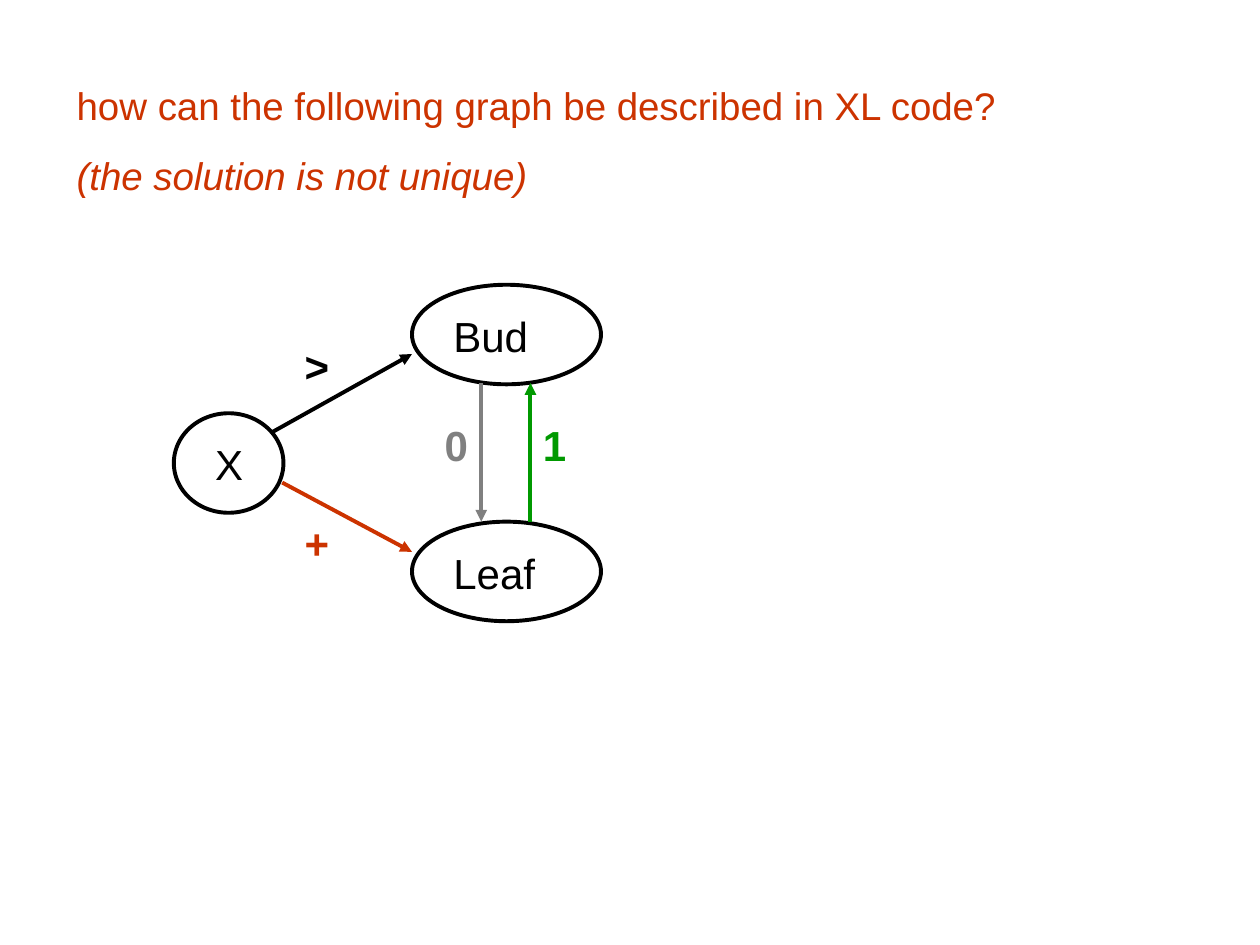
import pptx
import pptx.util
import pptx.dml.color
import pptx.enum.shapes
import pptx.enum.text
import pptx.oxml.ns
import lxml.etree

COLORS = {"black": "000000", "red": "CC3300", "gray": "808080", "green": "009900"}


class GraphSlide:
    font = "Arial"
    line_width = pptx.util.Pt(2.25)
    columns, rows = 100, 75
    node_height = 7.9
    label_height = 5

    def __init__(self, deck):
        self.column = deck.slide_width / self.columns
        self.row = deck.slide_height / self.rows
        self.page = deck.slides.add_slide(deck.slide_layouts[6])

    def place(self, left, top, width, height):
        return (round(left * self.column), round(top * self.row),
                round(width * self.column), round(height * self.row))

    def color(self, name):
        return pptx.dml.color.RGBColor.from_string(COLORS[name])

    def text(self, wording, area, color="black", size=24, before=15, bold=False):
        box = self.page.shapes.add_textbox(*self.place(*area))
        frame = box.text_frame
        frame.word_wrap = True
        frame.auto_size = pptx.enum.text.MSO_AUTO_SIZE.SHAPE_TO_FIT_TEXT
        frame.text = wording
        for para in frame.paragraphs:
            para.space_before = pptx.util.Pt(before)
            for span in para.runs:
                span.font.name = self.font
                span.font.size = pptx.util.Pt(size)
                span.font.bold = bold
                span.font.color.rgb = self.color(color)
        return box

    def node(self, name, left, top, width, label_width):
        oval = self.page.shapes.add_shape(
            pptx.enum.shapes.MSO_SHAPE.OVAL,
            *self.place(left, top, width, self.node_height))
        oval.shadow.inherit = False
        oval.fill.background()
        oval.line.color.rgb = self.color("black")
        oval.line.width = self.line_width
        self.text(name, (left + 2.3, top + 1.55, label_width, self.label_height))

    def edge(self, start, end, color):
        arrow = self.page.shapes.add_connector(
            pptx.enum.shapes.MSO_CONNECTOR.STRAIGHT,
            *self.place(*start, *end))
        arrow.line.color.rgb = self.color(color)
        arrow.line.width = self.line_width
        tag = pptx.oxml.ns.qn
        lxml.etree.SubElement(arrow.line._get_or_add_ln(), tag("a:tailEnd"), type="triangle")
        lxml.etree.SubElement(arrow._element.spPr, tag("a:effectLst"))

    def edge_label(self, symbol, left, top, color, width=3.9):
        self.text(symbol, (left, top, width, self.label_height), color, bold=True)


def main():
    deck = pptx.Presentation()
    deck.slide_width = pptx.util.Inches(10)
    deck.slide_height = pptx.util.Inches(7.5)
    slide = GraphSlide(deck)

    question = slide.text(
        "how can the following graph be described in XL code?\n(the solution is not unique)",
        (5.1, 6, 92.1, 10.3), "red", size=22, before=13.8)
    question.text_frame.paragraphs[1].runs[0].font.italic = True

    slide.node("X", 13.8, 32.8, 8.7, 5.5)
    slide.node("Bud", 32.7, 22.6, 15, 11)
    slide.node("Leaf", 32.7, 41.4, 15, 11)

    slide.edge((22.4, 38.3), (32.7, 43.8), "red")
    slide.edge((38.2, 30.4), (38.2, 41.4), "gray")
    slide.edge((42.1, 41.4), (42.1, 30.4), "green")
    slide.edge((21.6, 34.3), (32.7, 28.1), "black")

    slide.edge_label("+", 23.2, 40.6, "red", width=4.7)
    slide.edge_label(">", 23.2, 26.5, "black")
    slide.edge_label("0", 34.3, 32.8, "gray")
    slide.edge_label("1", 42.1, 32.8, "green")

    deck.save("out.pptx")


if __name__ == "__main__":
    main()
